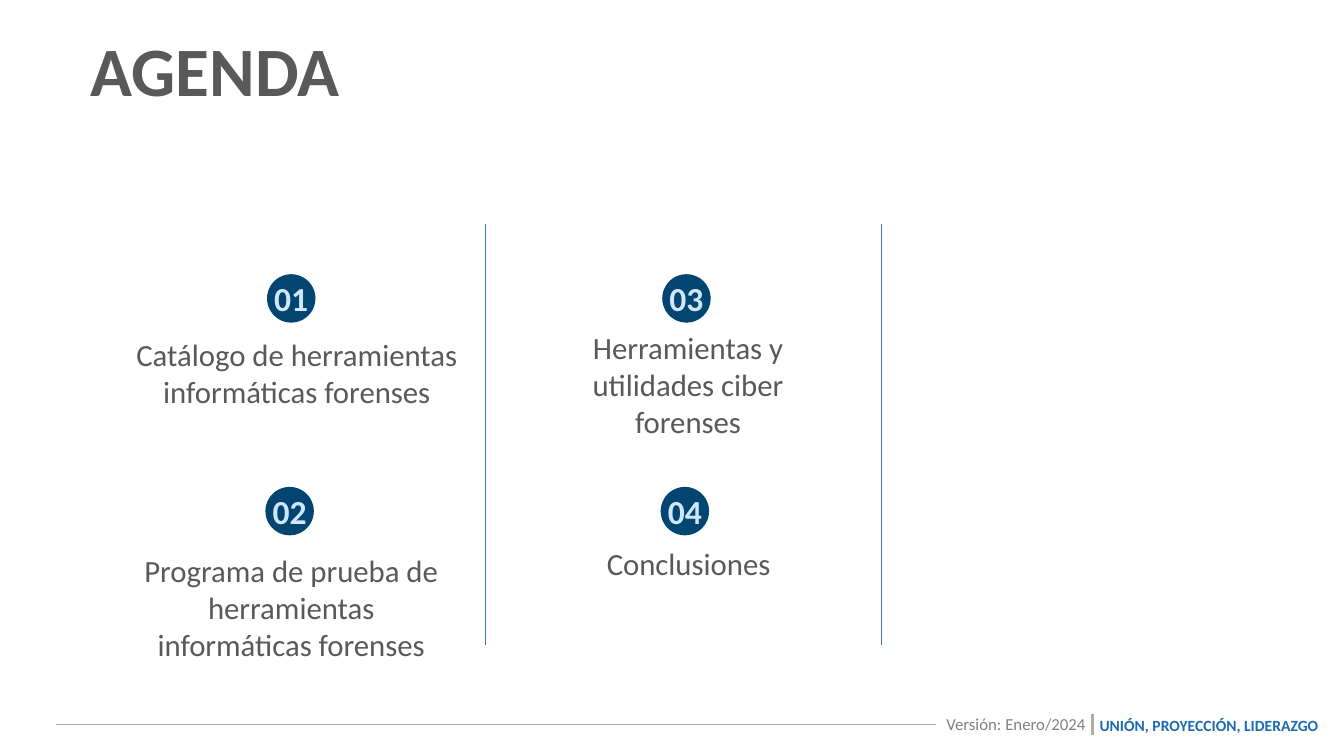
from dataclasses import dataclass
from typing import Optional

import pptx
import pptx.dml.color
import pptx.enum.shapes
import pptx.enum.text
import pptx.oxml
import pptx.util
from pptx.enum.text import MSO_ANCHOR, PP_ALIGN
from pptx.util import Cm, Pt


@dataclass(frozen=True)
class Theme:
    font: str = "Calibri"
    text: str = "595959"
    version: str = "808080"
    motto: str = "1C6AB2"
    rule: str = "AFABAB"
    divider: str = "4472C4"
    badge: str = "024571"
    number: str = "CEE6FE"
    title_size: float = 49.5
    number_size: float = 24
    item_size: float = 22
    version_size: float = 12
    motto_size: float = 11.1


@dataclass(frozen=True)
class Box:
    left: float
    top: float
    width: float
    height: float


@dataclass(frozen=True)
class Item:
    text: str
    box: Box
    spacing: Optional[float] = None


@dataclass(frozen=True)
class Rule:
    start: tuple[float, float]
    end: tuple[float, float]
    color: str
    width: float


THEME = Theme()
ROWS = 2
COLUMN_PITCH, ROW_PITCH = 9.96, 5.36
BADGE = Box(6.73, 6.91, 1.22, 1.22)
ROW_SHIFT = -0.04  # the lower badges sit slightly to the left
LOOSE = 56  # line spacing in points

ITEMS = [
    Item("Catálogo de herramientas informáticas forenses", Box(2.69, 7.49, 9.58, 2.95)),
    Item("Programa de prueba de herramientas informáticas forenses",
         Box(3.02, 14.71, 8.64, 2.11)),
    Item("Herramientas y utilidades ciber forenses", Box(13.39, 7.49, 7.9, 3.71)),
    Item("Conclusiones", Box(14.33, 12.67, 6.05, 2.11), LOOSE),
]
DIVIDERS = [
    Rule((x, 5.64), (x, 16.26), THEME.divider, 0.5)
    for x in (12.24, 12.24 + COLUMN_PITCH)
]
FOOTER_RULES = [
    Rule((1.4, 18.26), (23.6, 18.26), THEME.rule, 0.5),
    Rule((27.53, 17.98), (27.53, 18.52), THEME.rule, 2.25),
]


def rgb(color: str) -> pptx.dml.color.RGBColor:
    return pptx.dml.color.RGBColor.from_string(color)


def write(s, text: str, size: float, color: str, bold: bool = False,
          align=PP_ALIGN.LEFT, anchor=MSO_ANCHOR.TOP, spacing=None, wrap: bool = True) -> None:
    """Put one formatted run into the shape's first paragraph."""
    tf = s.text_frame
    tf.word_wrap = wrap
    tf.auto_size = pptx.enum.text.MSO_AUTO_SIZE.NONE
    tf.vertical_anchor = anchor
    p = tf.paragraphs[0]
    p.alignment = align
    if spacing is not None:
        p.line_spacing = spacing
    r = p.add_run()
    r.text = text
    r.font.name = THEME.font
    r.font.size = Pt(size)
    r.font.bold = bold
    r.font.color.rgb = rgb(color)


def add_text_box(sp, box: Box):
    return sp.add_textbox(Cm(box.left), Cm(box.top), Cm(box.width), Cm(box.height))


def add_title(sp, text: str, box: Box) -> None:
    s = sp.title
    s.left, s.top = Cm(box.left), Cm(box.top)
    s.width, s.height = Cm(box.width), Cm(box.height)
    write(s, text, THEME.title_size, THEME.text, bold=True,
          anchor=MSO_ANCHOR.BOTTOM, spacing=Pt(LOOSE))


def add_rule(sp, rule: Rule) -> None:
    line = sp.add_connector(pptx.enum.shapes.MSO_CONNECTOR.STRAIGHT,
                            *map(Cm, rule.start), *map(Cm, rule.end))
    line.line.color.rgb = rgb(rule.color)
    line.line.width = Pt(rule.width)
    sp_pr = line._element.spPr
    sp_pr.append(sp_pr.makeelement(pptx.oxml.ns.qn("a:effectLst"), {}))


def add_badge(sp, index: int) -> None:
    """Draw the numbered circle; items run down each column in turn."""
    column, row = divmod(index, ROWS)
    s = sp.add_shape(
        pptx.enum.shapes.MSO_SHAPE.OVAL,
        Cm(BADGE.left + column * COLUMN_PITCH + row * ROW_SHIFT),
        Cm(BADGE.top + row * ROW_PITCH), Cm(BADGE.width), Cm(BADGE.height))
    s.shadow.inherit = False
    s.fill.solid()
    s.fill.fore_color.rgb = rgb(THEME.badge)
    s.line.fill.background()
    tf = s.text_frame
    tf.margin_left = tf.margin_right = tf.margin_top = tf.margin_bottom = 0
    write(s, f"{index + 1:02}", THEME.number_size, THEME.number, bold=True,
          align=PP_ALIGN.CENTER, anchor=MSO_ANCHOR.MIDDLE, wrap=False)


def add_item(sp, item: Item) -> None:
    spacing = None if item.spacing is None else Pt(item.spacing)
    write(add_text_box(sp, item.box), item.text, THEME.item_size, THEME.text,
          align=PP_ALIGN.CENTER, anchor=MSO_ANCHOR.BOTTOM, spacing=spacing)


def add_footer(sp) -> None:
    write(add_text_box(sp, Box(23.6, 17.91, 4.98, 0.84)), "Versión: Enero/2024",
          THEME.version_size, THEME.version, spacing=0.9)
    write(add_text_box(sp, Box(27.46, 17.96, 6.43, 0.84)), "UNIÓN, PROYECCIÓN, LIDERAZGO",
          THEME.motto_size, THEME.motto, bold=True, spacing=0.9)
    for rule in FOOTER_RULES:
        add_rule(sp, rule)


def main() -> None:
    prs = pptx.Presentation()
    prs.slide_width, prs.slide_height = Cm(33.87), Cm(19.05)
    sp = prs.slides.add_slide(prs.slide_layouts.get_by_name("Title Only")).shapes
    add_footer(sp)
    add_title(sp, "AGENDA", Box(2.03, 0.71, 8.51, 2.21))
    for rule in DIVIDERS:
        add_rule(sp, rule)
    for index, item in enumerate(ITEMS):
        add_item(sp, item)
        add_badge(sp, index)
    prs.save("out.pptx")


if __name__ == "__main__":
    main()
